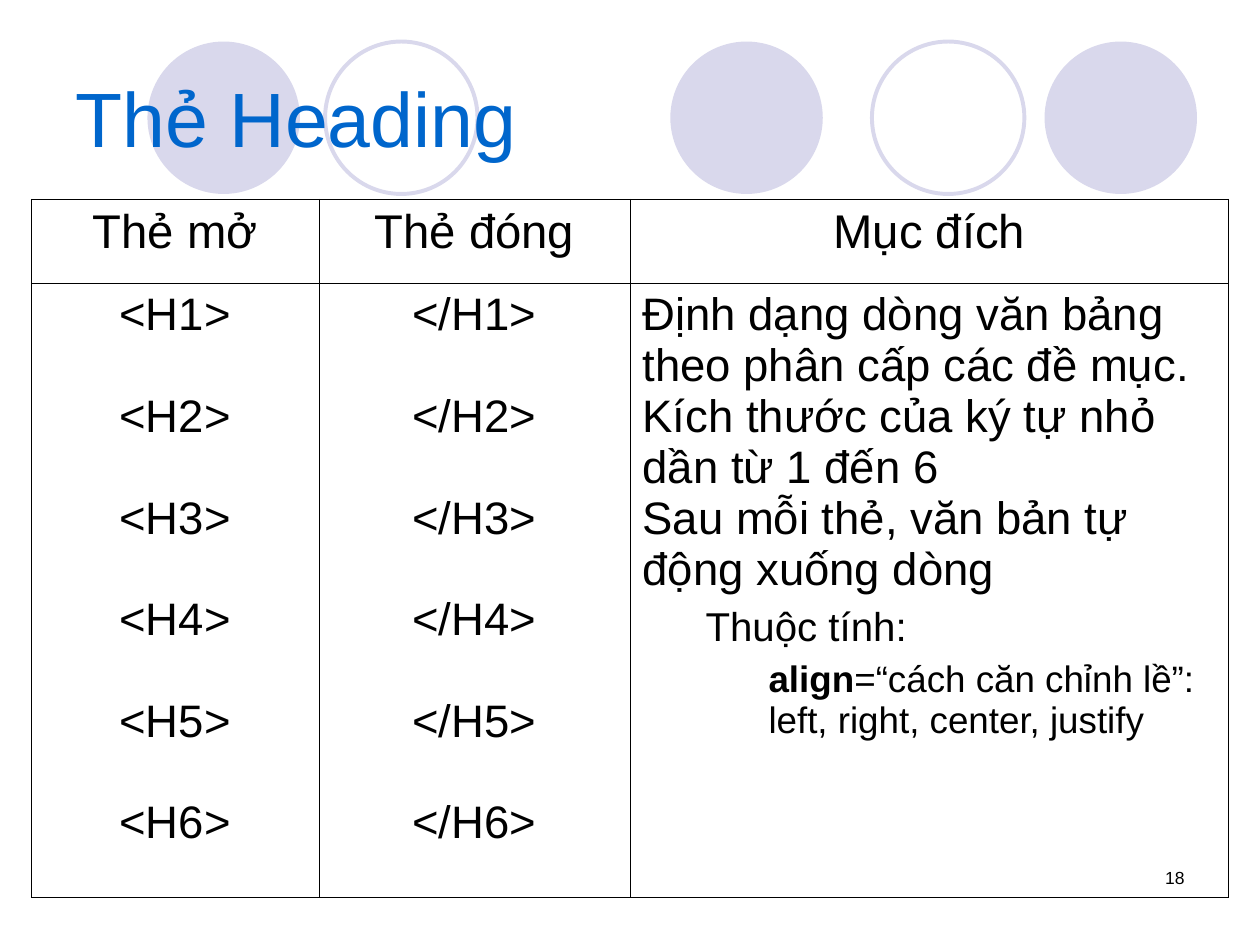
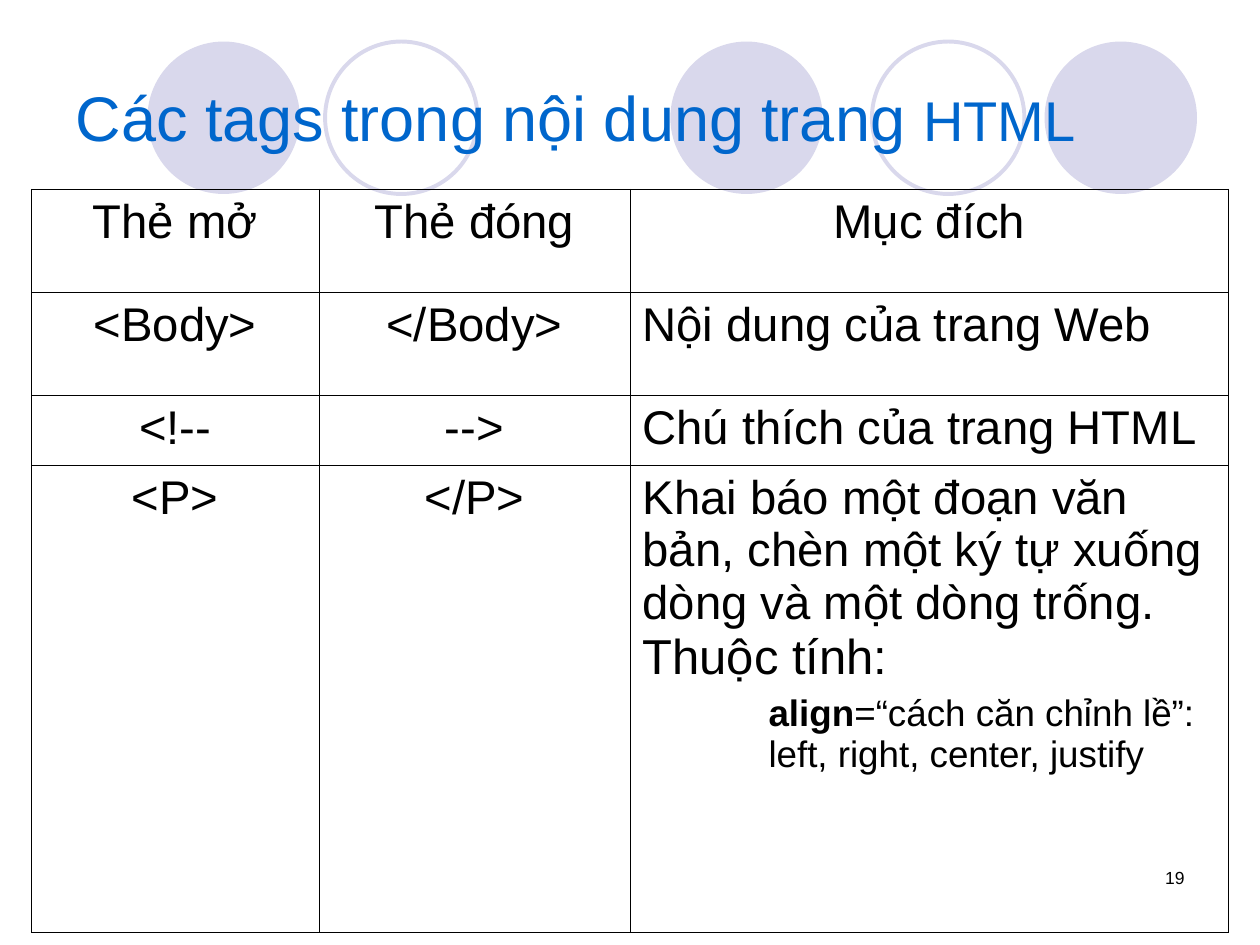
from dataclasses import dataclass

from lxml.etree import SubElement
from pptx import Presentation
from pptx.dml.color import RGBColor
from pptx.enum.shapes import MSO_SHAPE as Preset
from pptx.enum.text import MSO_ANCHOR as Anchor, MSO_AUTO_SIZE as AutoSize, PP_ALIGN as Align
from pptx.oxml.ns import qn
from pptx.util import Inches, Pt

COLUMNS, ROWS = 100, 75
SLIDE_WIDTH, SLIDE_HEIGHT = Inches(10), Inches(7.5)


@dataclass(frozen=True)
class Theme:
    """Colours, font and type sizes shared by the slides."""
    font: str = "Arial"
    ink: str = "000000"
    title: str = "0066CC"
    circle: str = "D9D8EC"
    circle_line: float = 2.25
    border: float = 0.34
    title_size: int = 44
    long_title_size: int = 36
    small_title_size: int = 32
    large_size: int = 28
    table_size: int = 27
    body_size: int = 26
    label_size: int = 23
    detail_size: int = 21
    number_size: int = 10


@dataclass(frozen=True)
class Box:
    """A region given in grid columns and rows."""
    left: float
    top: float
    width: float
    height: float

    def place(self):
        """Return left, top, width and height as slide lengths."""
        return (across(self.left), down(self.top), across(self.width), down(self.height))


@dataclass(frozen=True)
class Line:
    """A paragraph: its (text, size, bold) runs, alignment, indent and space before."""
    runs: tuple
    align: Align = Align.LEFT
    indent: float = 0
    before: float = 0


THEME = Theme()
CIRCLE_BAND = Box(11.7, 3.3, 83.3, 12.1)
CIRCLES = ((0, True), (14.1, False), (41.5, True), (57.5, False), (71.2, True))
TITLE_BOX = Box(5, 3, 90, 12.5)
NUMBER_BOX = Box(71.7, 68.3, 23.3, 5)
TABLE_COLUMNS = (22.8, 24.7, 47.5)
HEADERS = ("Thẻ mở", "Thẻ đóng", "Mục đích")
TAG_GAP = 29


def across(columns):
    """Turn grid columns into a length."""
    return round(SLIDE_WIDTH * columns / COLUMNS)


def down(rows):
    """Turn grid rows into a length."""
    return round(SLIDE_HEIGHT * rows / ROWS)


def plain(text, size=THEME.table_size, align=Align.LEFT, indent=0, before=0):
    """Make a paragraph with a single regular run."""
    return Line(((text, size, False),), align, indent, before)


def centred(text):
    """Make a centred table paragraph."""
    return plain(text, align=Align.CENTER)


def heading_tags(pattern):
    """List the six heading tags, a line apart."""
    return [plain(pattern.format(level), THEME.body_size, Align.CENTER,
                  before=TAG_GAP if level > 1 else 0) for level in range(1, 7)]


def write(frame, lines, color=THEME.ink):
    """Fill a text frame with paragraphs, run by run."""
    for index, line in enumerate(lines):
        paragraph = frame.add_paragraph() if index else frame.paragraphs[0]
        paragraph.alignment = line.align
        paragraph.space_before = Pt(line.before)
        if line.indent:
            properties = paragraph._p.get_or_add_pPr()
            properties.set("marL", str(across(line.indent)))
            properties.set("indent", "0")
        for text, size, bold in line.runs:
            run = paragraph.add_run()
            run.text = text
            run.font.name = THEME.font
            run.font.size = Pt(size)
            run.font.bold = bold
            run.font.color.rgb = RGBColor.from_string(color)


def add_circles(slide, box):
    """Draw the band of filled and outlined circles."""
    color = RGBColor.from_string(THEME.circle)
    for offset, filled in CIRCLES:
        circle_box = Box(box.left + offset, box.top, box.height, box.height)
        circle = slide.shapes.add_shape(Preset.OVAL, *circle_box.place())
        circle.shadow.inherit = False
        if filled:
            circle.fill.solid()
            circle.fill.fore_color.rgb = color
            circle.line.fill.background()
        else:
            circle.fill.background()
            circle.line.color.rgb = color
            circle.line.width = Pt(THEME.circle_line)


def add_number(slide, box, number):
    """Write the slide number at the right of its box."""
    frame = slide.shapes.add_textbox(*box.place()).text_frame
    frame.word_wrap = True
    write(frame, [plain(str(number), THEME.number_size, Align.RIGHT)])


def add_title(slide, box, runs):
    """Format the title placeholder and bring it in front of the circles."""
    title = slide.shapes.title
    title.left, title.top, title.width, title.height = box.place()
    title.element.getparent().append(title.element)
    frame = title.text_frame
    frame.word_wrap = True
    frame.auto_size = AutoSize.NONE
    frame.vertical_anchor = Anchor.MIDDLE
    write(frame, [Line(runs)], THEME.title)


def format_cell(cell):
    """Give a cell thin borders and no fill."""
    properties = cell._tc.get_or_add_tcPr()
    for side in ("lnL", "lnR", "lnT", "lnB"):
        border = SubElement(properties, qn(f"a:{side}"), w=str(Pt(THEME.border)))
        fill = SubElement(border, qn("a:solidFill"))
        SubElement(fill, qn("a:srgbClr"), val=THEME.ink)
    cell.fill.background()
    cell.margin_left = cell.margin_right = Inches(0.1)
    cell.margin_top = cell.margin_bottom = Inches(0.05)


def add_tag_table(slide, box, heights, body):
    """Add the table of opening tags, closing tags and purposes."""
    rows = [[[centred(header)] for header in HEADERS], *body]
    table = slide.shapes.add_table(len(rows), len(HEADERS), *box.place()).table
    table.first_row = table.horz_banding = False
    for column, width in zip(table.columns, TABLE_COLUMNS):
        column.width = across(width)
    for row, height, contents in zip(table.rows, heights, rows):
        row.height = down(height)
        for cell, lines in zip(row.cells, contents):
            format_cell(cell)
            write(cell.text_frame, lines)


def add_tag_slide(presentation, number, title_runs, table_top, heights, body):
    """Build one slide with a title and a tag table."""
    slide = presentation.slides.add_slide(presentation.slide_layouts.get_by_name("Title Only"))
    add_circles(slide, CIRCLE_BAND)
    add_number(slide, NUMBER_BOX, number)
    add_title(slide, TITLE_BOX, title_runs)
    table_box = Box(2.5, table_top, sum(TABLE_COLUMNS), sum(heights))
    add_tag_table(slide, table_box, heights, body)


def main():
    """Build and save the presentation."""
    presentation = Presentation()
    presentation.slide_width, presentation.slide_height = SLIDE_WIDTH, SLIDE_HEIGHT
    align_attribute = Line((
        ("align", THEME.detail_size, True),
        ("=“cách căn chỉnh lề”: left, right, center, justify", THEME.detail_size, False),
    ), indent=10, before=5.2)

    heading_purpose = [
        plain("Định dạng dòng văn bảng theo phân cấp các đề mục. "
              "Kích thước của ký tự nhỏ dần từ 1 đến 6", THEME.body_size),
        plain("Sau mỗi thẻ, văn bản tự động xuống dòng", THEME.body_size),
        plain("Thuộc tính:", THEME.label_size, indent=5, before=5.8),
        align_attribute,
    ]
    add_tag_slide(
        presentation, 18, (("Thẻ Heading", THEME.title_size, False),), 15.8, (6.7, 48.7),
        [[heading_tags("<H{}>"), heading_tags("</H{}>"), heading_purpose]])

    paragraph_purpose = [
        plain("Khai báo một đoạn văn bản, chèn một ký tự xuống dòng và một dòng trống."),
        plain("Thuộc tính:", THEME.large_size),
        align_attribute,
    ]
    content_tags = (
        ("<Body>", "</Body>", [plain("Nội dung của trang Web")]),
        ("<!--", "-->", [plain("Chú thích của trang HTML")]),
        ("<P>", "</P>", paragraph_purpose),
    )
    add_tag_slide(
        presentation, 19,
        (("Các tags trong nội dung trang ", THEME.long_title_size, False),
         ("HTML", THEME.small_title_size, False)),
        15, (8.2, 8.2, 5.5, 37.1),
        [[[centred(opening)], [centred(closing)], purpose]
         for opening, closing, purpose in content_tags])
    presentation.save("out.pptx")


if __name__ == "__main__":
    main()
